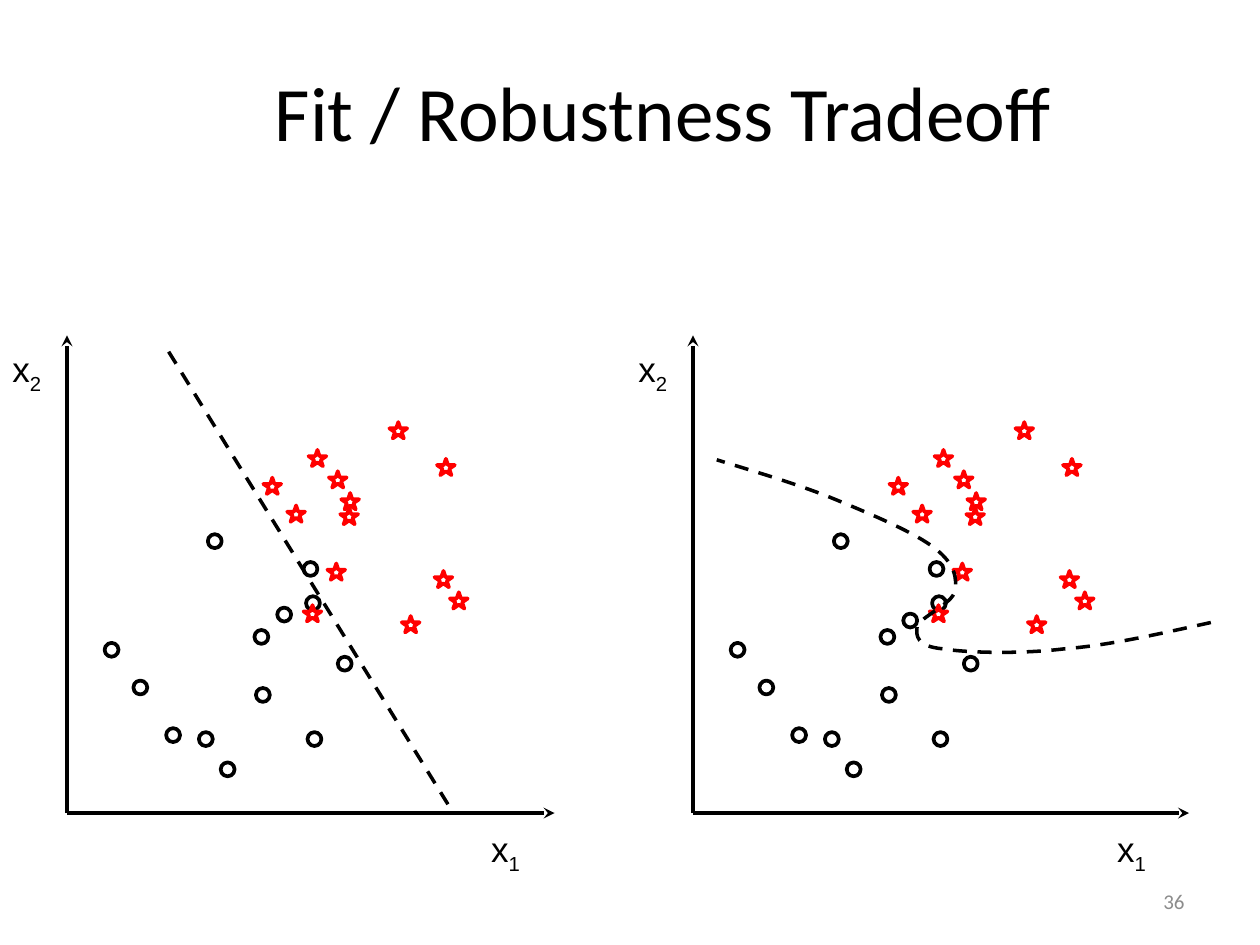
import dataclasses

import lxml.etree
import pptx
import pptx.dml.color
import pptx.enum.dml
import pptx.enum.shapes
import pptx.enum.text
import pptx.oxml.ns
import pptx.util

Cm = pptx.util.Cm
Pt = pptx.util.Pt
RGB = pptx.dml.color.RGBColor
SHAPE = pptx.enum.shapes.MSO_SHAPE
ALIGN = pptx.enum.text.PP_ALIGN
ANCHOR = pptx.enum.text.MSO_ANCHOR
qn = pptx.oxml.ns.qn


@dataclasses.dataclass(frozen=True)
class Theme:
    ink: RGB = RGB(0, 0, 0)
    paper: RGB = RGB(255, 255, 255)
    star: RGB = RGB(255, 0, 0)
    muted: RGB = RGB(0x8C, 0x8C, 0x8C)
    heading_font: str = "Calibri"
    label_font: str = "Arial"
    title_size: Pt = Pt(44)
    label_size: Pt = Pt(20)
    number_size: Pt = Pt(12)
    line: Pt = Pt(2.13)
    boundary: Pt = Pt(2)


THEME = Theme()

CIRCLES = [
    (4.45, 8.61), (4.01, 8.0), (6.2, 8.0), (3.35, 7.92), (2.69, 6.96),
    (2.11, 6.2), (5.16, 7.11), (6.17, 5.26), (6.81, 6.48), (6.12, 4.57),
    (5.13, 5.94), (4.19, 4.01),
]
STARS = [
    (6.12, 5.44), (8.76, 4.75), (8.1, 5.66), (5.79, 3.43), (9.07, 5.18),
    (6.63, 2.74), (6.6, 4.6), (6.86, 3.48), (5.31, 2.87), (6.22, 2.31),
    (7.85, 1.75), (6.88, 3.18), (8.81, 2.49),
]
STRAIGHT = [(3.4, 0.33), (9.09, 9.55)]
CURVE = [
    (11.79, 5.79),
    (10.74, 6.02), (9.75, 6.25), (8.84, 6.32),
    (7.95, 6.43), (6.86, 6.4), (6.38, 6.32),
    (5.87, 6.27), (5.84, 6.07), (5.87, 5.87),
    (5.92, 5.69), (6.58, 5.41), (6.63, 5.16),
    (6.68, 4.9), (6.63, 4.6), (6.22, 4.29),
    (5.84, 3.99), (5.0, 3.63), (4.27, 3.33),
    (3.53, 3.02), (2.67, 2.77), (1.83, 2.51),
]
ORIGIN = (1.35, 9.63)


def style_runs(p, font, size, color):
    for r in p.runs:
        r.font.name = font
        r.font.size = size
        r.font.color.rgb = color


def add_marker(s, kind, x, y, w, h, color, fill=None):
    sp = s.shapes.add_shape(kind, Cm(x), Cm(y), Cm(w), Cm(h))
    sp.shadow.inherit = False
    if fill is None:
        sp.fill.background()
    else:
        sp.fill.solid()
        sp.fill.fore_color.rgb = fill
    sp.line.color.rgb = color
    sp.line.width = THEME.line


def add_line(s, x, y, start, end, width):
    ln = s.shapes.add_connector(
        pptx.enum.shapes.MSO_CONNECTOR.STRAIGHT,
        Cm(x + start[0]), Cm(y + start[1]), Cm(x + end[0]), Cm(y + end[1]))
    ln.line.color.rgb = THEME.ink
    ln.line.width = width
    lxml.etree.SubElement(ln._element.spPr, qn("a:effectLst"))
    return ln


def add_axis(s, x, y, end):
    ln = add_line(s, x, y, ORIGIN, end, THEME.line)
    lxml.etree.SubElement(ln.line._get_or_add_ln(), qn("a:tailEnd"), type="stealth")


def add_axis_label(s, x, y, w, subscript):
    tf = s.shapes.add_textbox(Cm(x), Cm(y), Cm(w), Cm(1.09)).text_frame
    tf.word_wrap = True
    p = tf.paragraphs[0]
    p.text = "x"
    r = p.add_run()
    r.text = subscript
    style_runs(p, THEME.label_font, THEME.label_size, THEME.ink)
    r.font._element.set("baseline", "-25000")


def add_straight_boundary(s, x, y):
    ln = add_line(s, x, y, *STRAIGHT, THEME.boundary)
    ln.line.dash_style = pptx.enum.dml.MSO_LINE.DASH


def add_curved_boundary(s, x, y):
    points = [(Cm(x + px), Cm(y + py)) for px, py in CURVE]
    fb = s.shapes.build_freeform(*points[0])
    fb.add_line_segments(points[1:], close=False)
    sp = fb.convert_to_shape()
    sp.shadow.inherit = False
    sp.fill.background()
    sp.line.color.rgb = THEME.ink
    sp.line.width = THEME.boundary
    sp.line.dash_style = pptx.enum.dml.MSO_LINE.DASH
    segments = list(sp._element.iter(qn("a:lnTo")))
    outline = segments[0].getparent()
    for i in range(0, len(segments), 3):
        bezier = lxml.etree.SubElement(outline, qn("a:cubicBezTo"))
        for segment in segments[i:i + 3]:
            bezier.append(segment[0])
            outline.remove(segment)


def add_panel(s, x, y, axis_end, lone_circle, add_boundary):
    for cx, cy in CIRCLES + [lone_circle]:
        add_marker(s, SHAPE.OVAL, x + cx, y + cy, 0.28, 0.28, THEME.ink, THEME.paper)
    for sx, sy in STARS:
        add_marker(s, SHAPE.STAR_5_POINT, x + sx, y + sy, 0.36, 0.33, THEME.star)
    add_axis(s, x, y, (axis_end, ORIGIN[1]))
    add_axis(s, x, y, (ORIGIN[0], 0))
    add_axis_label(s, x + 9.65, y + 9.8, 1.93, "1")
    add_axis_label(s, x, y + 0.13, 1.24, "2")
    add_boundary(s, x, y)


def add_title(s, x, y, w, h):
    sp = s.shapes.title
    sp.left, sp.top, sp.width, sp.height = Cm(x), Cm(y), Cm(w), Cm(h)
    tf = sp.text_frame
    tf.text = "Fit / Robustness Tradeoff"
    tf.vertical_anchor = ANCHOR.MIDDLE
    p = tf.paragraphs[0]
    p.alignment = ALIGN.CENTER
    style_runs(p, THEME.heading_font, THEME.title_size, THEME.ink)


def add_slide_number(s, x, y, w, h):
    tf = s.shapes.add_textbox(Cm(x), Cm(y), Cm(w), Cm(h)).text_frame
    tf.text = "36"
    tf.word_wrap = True
    tf.vertical_anchor = ANCHOR.MIDDLE
    p = tf.paragraphs[0]
    p.alignment = ALIGN.RIGHT
    style_runs(p, THEME.heading_font, THEME.number_size, THEME.muted)


def main():
    prs = pptx.Presentation()
    prs.slide_width, prs.slide_height = Cm(25.4), Cm(19.05)
    s = prs.slides.add_slide(prs.slide_layouts[5])
    add_title(s, 2.57, 0.64, 21.59, 3.18)
    add_panel(s, 0, 6.76, 11.18, (5.59, 5.49), add_straight_boundary)
    add_panel(s, 12.62, 6.76, 11.35, (5.59, 5.61), add_curved_boundary)
    add_slide_number(s, 18.21, 17.65, 5.92, 1.02)
    prs.save("out.pptx")


if __name__ == "__main__":
    main()
